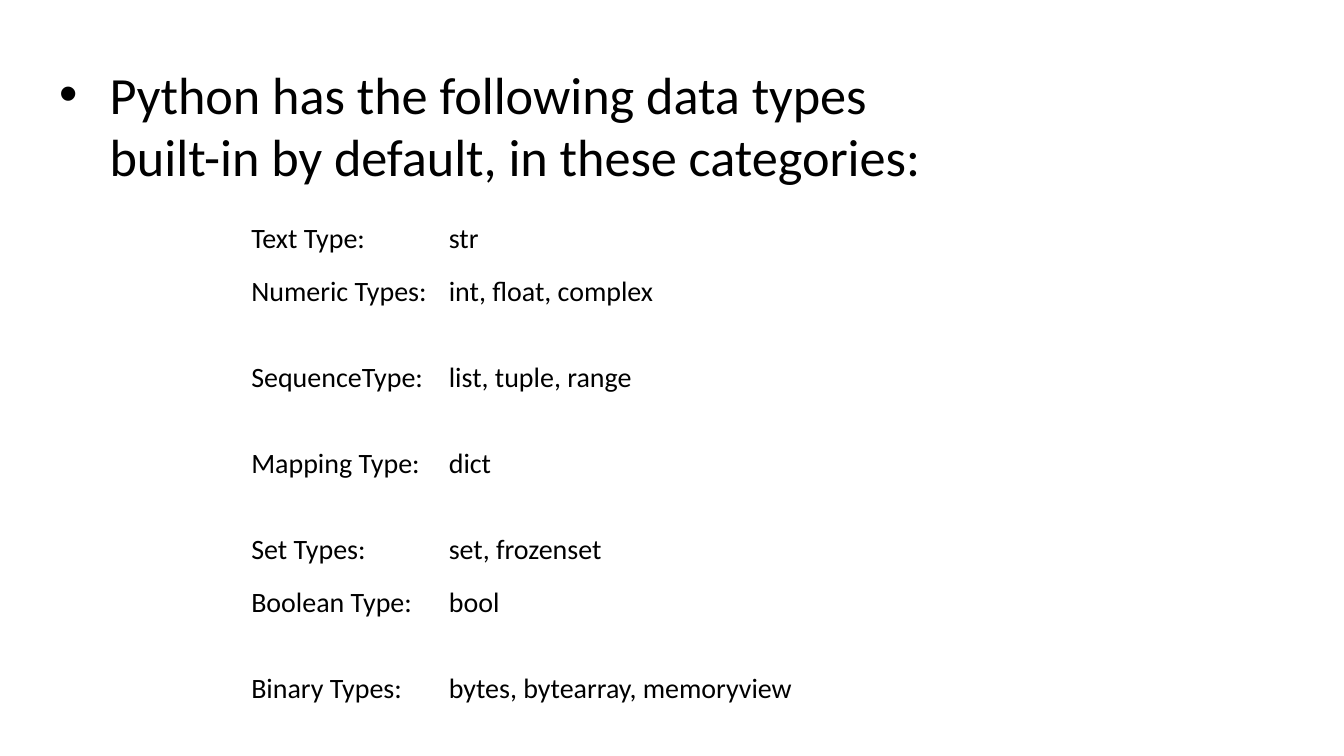
from pptx import Presentation
from pptx.dml.color import RGBColor
from pptx.util import Inches, Pt

BLACK = RGBColor(0, 0, 0)
WHITE = RGBColor(255, 255, 255)
FONT = "Calibri"

INTRO = "Python has the following data types built-in by default, in these categories:"
SHORT, TALL = 0.39, 0.64
DATA_TYPES = [
    ("Text Type:", "str", SHORT),
    ("Numeric Types:", "int, float, complex", TALL),
    ("SequenceType:", "list, tuple, range", TALL),
    ("Mapping Type:", "dict", TALL),
    ("Set Types:", "set, frozenset", SHORT),
    ("Boolean Type:", "bool", TALL),
    ("Binary Types:", "bytes, bytearray, memoryview", SHORT),
]
COLUMN_WIDTHS = (1.54, 2.95)
LEFT_MARGINS = (0.14, 0.07)
MARGIN = Inches(0.07)


def write(tf, text, size):
    p = tf.paragraphs[0]
    p.text = text
    font = p.runs[0].font
    font.name, font.size, font.color.rgb = FONT, Pt(size), BLACK


def add_intro(slide):
    body = slide.placeholders[1]
    body.left, body.top = Inches(0.34), Inches(0.41)
    body.width, body.height = Inches(7.07), Inches(3.84)
    write(body.text_frame, INTRO, 28)


def add_type_table(slide):
    height = sum(row[-1] for row in DATA_TYPES)
    table = slide.shapes.add_table(
        len(DATA_TYPES), len(COLUMN_WIDTHS), Inches(1.73), Inches(1.58),
        Inches(sum(COLUMN_WIDTHS)), Inches(height)).table
    table.first_row = table.horz_banding = False
    for column, width in zip(table.columns, COLUMN_WIDTHS):
        column.width = Inches(width)
    for row, (*texts, row_height) in zip(table.rows, DATA_TYPES):
        row.height = Inches(row_height)
        for cell, text, left in zip(row.cells, texts, LEFT_MARGINS):
            cell.margin_left = Inches(left)
            cell.margin_top = cell.margin_right = cell.margin_bottom = MARGIN
            cell.fill.solid()
            cell.fill.fore_color.rgb = WHITE
            write(cell.text_frame, text, 15)


def main():
    prs = Presentation()
    prs.slide_width = Inches(10)
    prs.slide_height = prs.slide_width * 9 // 16
    slide = prs.slides.add_slide(prs.slide_layouts[1])
    title = slide.shapes.title.element
    title.getparent().remove(title)
    add_intro(slide)
    add_type_table(slide)
    prs.save("out.pptx")


if __name__ == "__main__":
    main()
